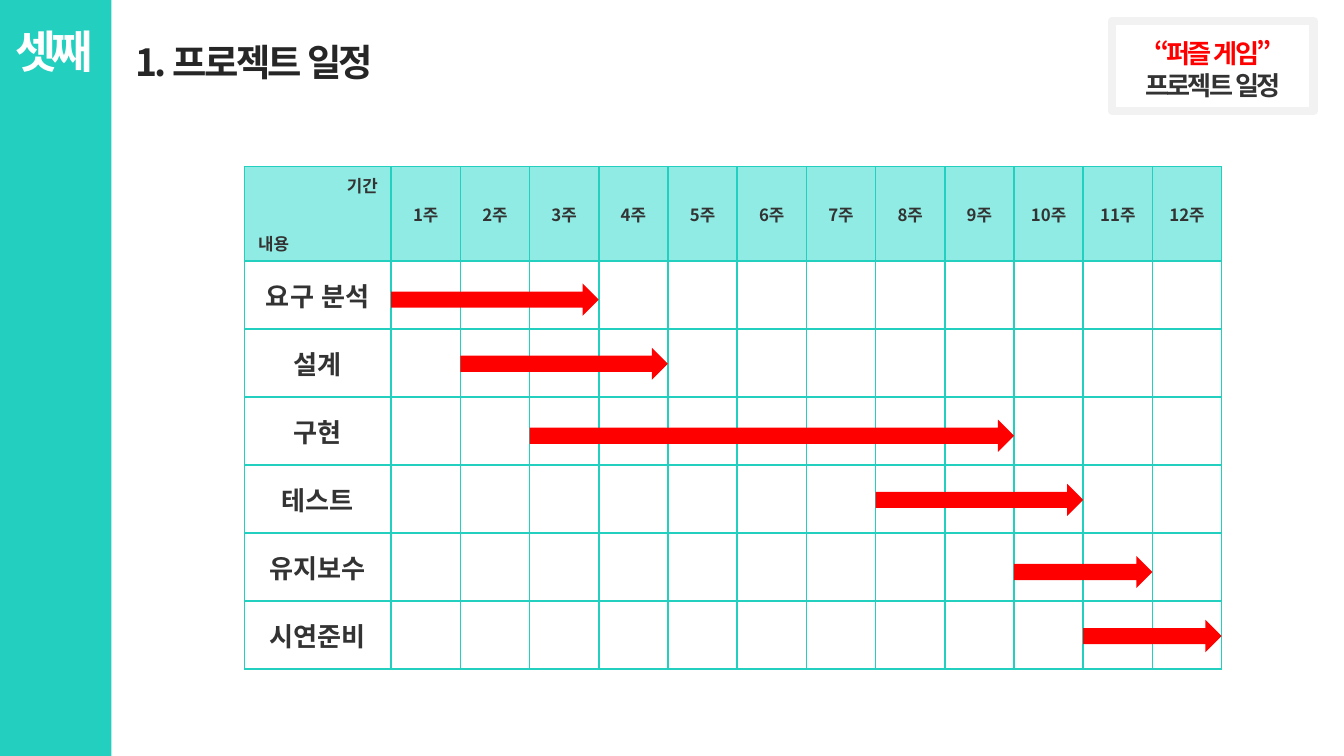
from lxml.etree import SubElement
from pptx import Presentation
from pptx.dml.color import RGBColor
from pptx.enum.shapes import MSO_SHAPE as Preset
from pptx.enum.text import MSO_ANCHOR as Anchor, MSO_AUTO_SIZE as AutoSize, PP_ALIGN as Align
from pptx.oxml.ns import qn
from pptx.util import Inches, Pt

WIDTH = 10
HEIGHT = WIDTH * 9 / 16
TEAL, MINT, RED, DARK = "23CFBF", "8FEBE3", "FF0000", "333333"

# Schedule grid, in inches
WEEKS = 12
GRID_LEFT, GRID_TOP = 1.82, 1.24
LABEL_WIDTH, GRID_WIDTH = 1.09, 7.27
HEADER_HEIGHT, GRID_HEIGHT = 0.7, 3.74
ARROW_HEIGHT = 0.24

# Task, first week, last week
TASKS = [
    ("요구 분석", 1, 3),
    ("설계", 2, 4),
    ("구현", 3, 9),
    ("테스트", 8, 10),
    ("유지보수", 10, 11),
    ("시연준비", 11, 12),
]
WEEK_WIDTH = (GRID_WIDTH - LABEL_WIDTH) / WEEKS
TASK_HEIGHT = (GRID_HEIGHT - HEADER_HEIGHT) / len(TASKS)


def color(value):
    return RGBColor.from_string(value)


class SlideBuilder:
    font_name = "Noto Sans CJK KR"

    def __init__(self, slide):
        self.slide = slide

    def box(self, left, top, width, height):
        """Turn percentages of the slide's size into lengths."""
        across, down = WIDTH / 100, HEIGHT / 100
        return (Inches(left * across), Inches(top * down),
                Inches(width * across), Inches(height * down))

    def style(self, paragraph, size, shade, align=Align.LEFT, spacing=0):
        paragraph.alignment = align
        for run in paragraph.runs:
            font = run.font
            font.size, font.bold = Pt(size), True
            font.color.rgb = color(shade)
            font.name = self.font_name
            properties = run._r.get_or_add_rPr()
            properties.set("lang", "ko-KR")
            SubElement(properties, qn("a:ea"), typeface=self.font_name)
            if spacing:
                properties.set("spc", str(int(spacing * 100)))

    def shape(self, preset, place, fill=None, line=None, line_width=1):
        shape = self.slide.shapes.add_shape(preset, *place)
        shape.shadow.inherit = False
        if fill:
            shape.fill.solid()
            shape.fill.fore_color.rgb = color(fill)
        else:
            shape.fill.background()
        if line:
            shape.line.color.rgb = color(line)
            shape.line.width = Pt(line_width)
        else:
            shape.line.fill.background()

    def text(self, place, lines, size, align=Align.LEFT, spacing=0):
        text_frame = self.slide.shapes.add_textbox(*place).text_frame
        text_frame.word_wrap = True
        text_frame.text = "\n".join(words for words, _ in lines)
        for paragraph, (_, shade) in zip(text_frame.paragraphs, lines):
            self.style(paragraph, size, shade, align, spacing)

    def title(self, place, words, size, shade, spacing):
        title = self.slide.shapes.title
        title.left, title.top, title.width, title.height = place
        text_frame = title.text_frame
        text_frame.text = words
        text_frame.auto_size = AutoSize.NONE
        text_frame.vertical_anchor = Anchor.MIDDLE
        text_frame.paragraphs[0].line_spacing = 2
        self.style(text_frame.paragraphs[0], size, shade, spacing=spacing)

    def cell(self, cell, words="", size=14, fill=None):
        properties = cell._tc.get_or_add_tcPr()
        for side in ("a:lnL", "a:lnR", "a:lnT", "a:lnB"):
            border = SubElement(properties, qn(side), w=str(Pt(1)))
            solid = SubElement(border, qn("a:solidFill"))
            SubElement(solid, qn("a:srgbClr"), val=TEAL)
        if fill:
            cell.fill.solid()
            cell.fill.fore_color.rgb = color(fill)
        else:
            cell.fill.background()
        cell.vertical_anchor = Anchor.MIDDLE
        cell.text = words
        for paragraph in cell.text_frame.paragraphs:
            self.style(paragraph, size, DARK, Align.CENTER)

    def schedule(self):
        table = self.slide.shapes.add_table(
            len(TASKS) + 1, WEEKS + 1, Inches(GRID_LEFT), Inches(GRID_TOP),
            Inches(GRID_WIDTH), Inches(GRID_HEIGHT)).table
        for index, column in enumerate(table.columns):
            column.width = Inches(WEEK_WIDTH if index else LABEL_WIDTH)
        for index, row in enumerate(table.rows):
            row.height = Inches(TASK_HEIGHT if index else HEADER_HEIGHT)

        # Header row, with both axis names in the corner
        headers = ["기간\n내용"] + [f"{week}주" for week in range(1, WEEKS + 1)]
        for index, words in enumerate(headers):
            self.cell(table.cell(0, index), words, 9, MINT)
        corner = table.cell(0, 0)
        corner.vertical_anchor = Anchor.TOP
        corner.margin_bottom = 0
        period, content = corner.text_frame.paragraphs
        period.alignment, content.alignment = Align.RIGHT, Align.LEFT
        content.space_before = Pt(18)

        # Task rows
        for row, (task, _, _) in enumerate(TASKS, 1):
            for column in range(WEEKS + 1):
                self.cell(table.cell(row, column), "" if column else task)

    def arrow(self, row, first, last):
        left = GRID_LEFT + LABEL_WIDTH + (first - 1) * WEEK_WIDTH
        drop = 0.14 if row % 2 else 0.17
        top = GRID_TOP + HEADER_HEIGHT + row * TASK_HEIGHT + drop
        width = (last - first + 1) * WEEK_WIDTH
        place = [Inches(length) for length in (left, top, width, ARROW_HEIGHT)]
        self.shape(Preset.RIGHT_ARROW, place, fill=RED)


def main():
    presentation = Presentation()
    presentation.slide_width, presentation.slide_height = Inches(WIDTH), Inches(HEIGHT)
    builder = SlideBuilder(presentation.slides.add_slide(presentation.slide_layouts[5]))
    box = builder.box

    # Side band with the section number
    builder.shape(Preset.RECTANGLE, box(0, 0, 8.3, 100), fill=TEAL)
    builder.text(box(0.2, 2.3, 7.9, 9), [("셋째", "FFFFFF")], 24, spacing=-3)

    # Framed project name
    builder.shape(Preset.RECTANGLE, box(82.75, 2.8, 15, 11.9), line="F2F2F2", line_width=4.5)
    builder.text(box(83.6, 4.1, 13.3, 10.1),
                 [("“퍼즐 게임”", RED), ("프로젝트 일정", DARK)], 14, Align.CENTER, -1.5)

    # Heading
    builder.title(box(9.1, -1.7, 36.2, 13.7), "1. 프로젝트 일정", 20, "262626", -1.5)

    # Schedule with one arrow per task
    builder.schedule()
    for row, (_, first, last) in enumerate(TASKS):
        builder.arrow(row, first, last)

    presentation.save("out.pptx")


if __name__ == "__main__":
    main()
